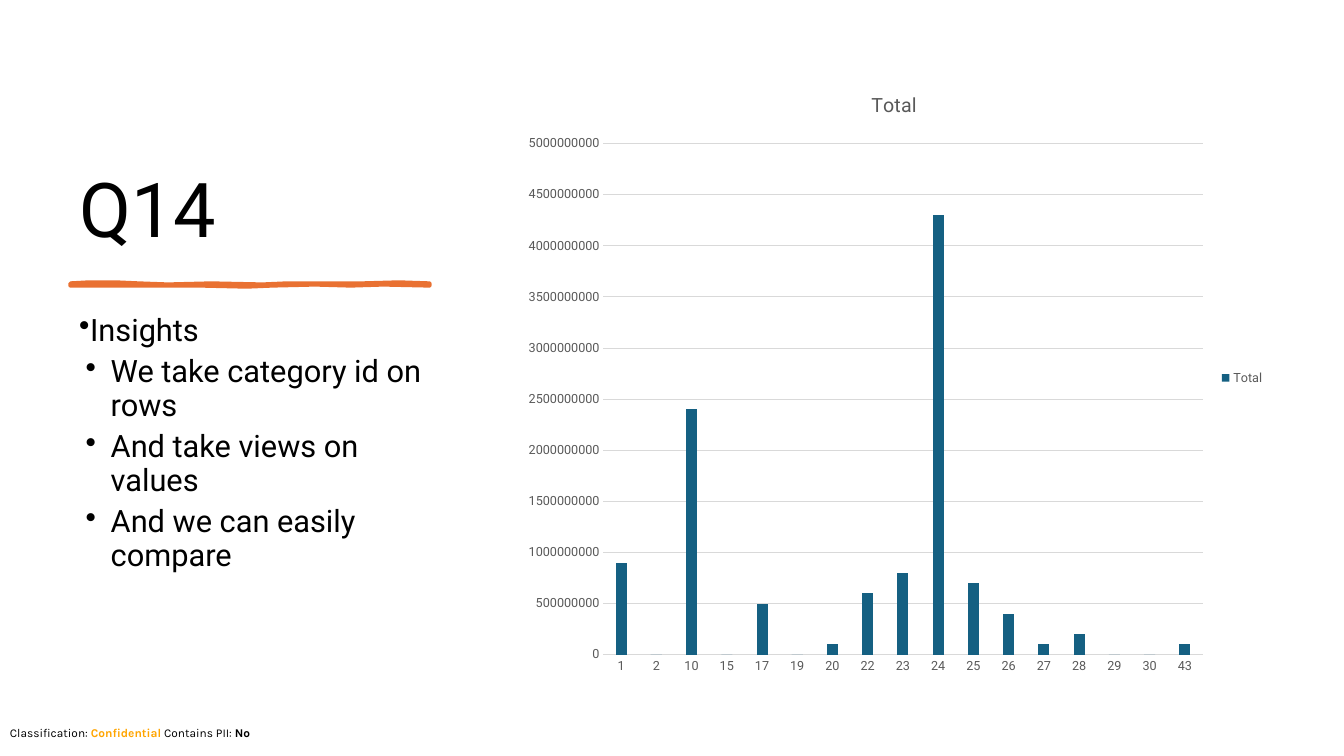
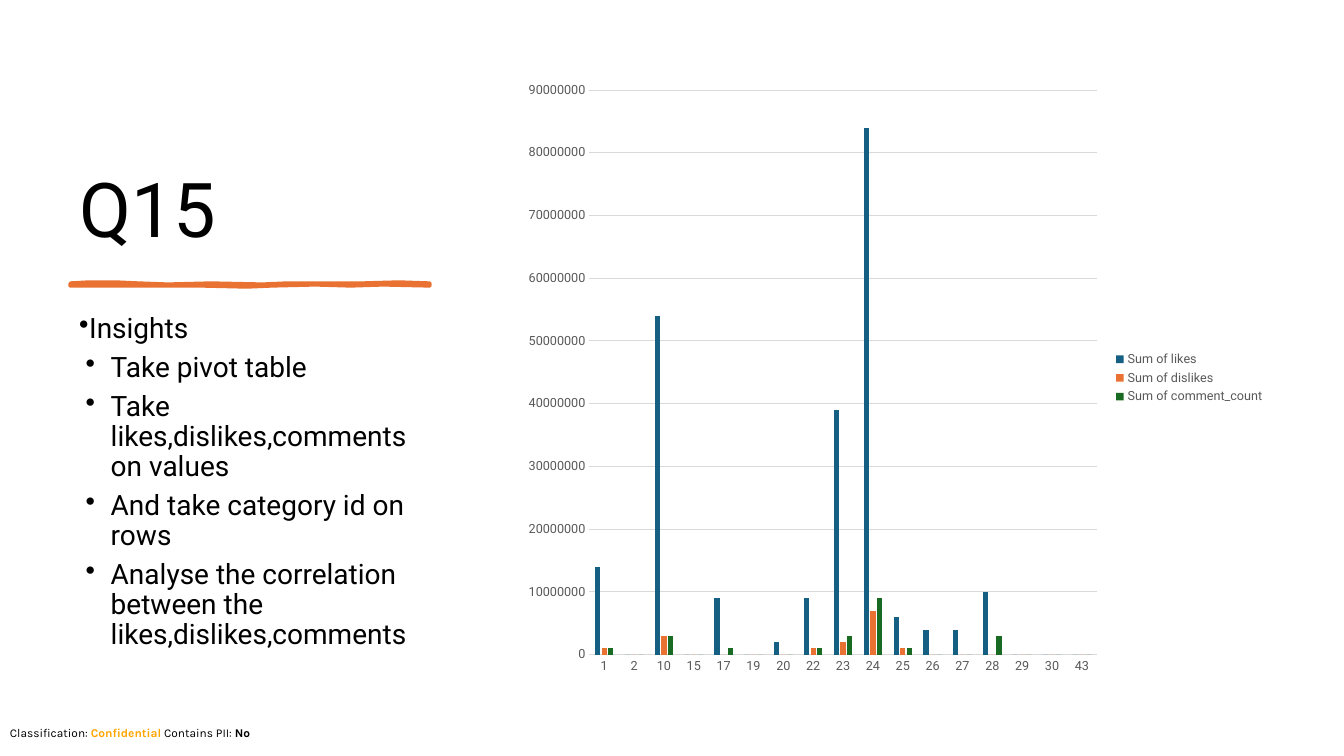
from dataclasses import dataclass

from lxml import etree
from pptx import Presentation
from pptx.chart.data import CategoryChartData
from pptx.dml.color import RGBColor
from pptx.enum.chart import XL_CHART_TYPE, XL_LEGEND_POSITION, XL_TICK_MARK
from pptx.enum.text import MSO_ANCHOR, MSO_AUTO_SIZE, PP_ALIGN
from pptx.oxml.ns import qn
from pptx.util import Pt

PX = 9525  # EMU in one px, 96 px to the inch


@dataclass(frozen=True)
class Theme:
    text: RGBColor = RGBColor.from_string("000000")
    chart_text: RGBColor = RGBColor.from_string("595959")
    grid: RGBColor = RGBColor.from_string("D9D9D9")
    warning: RGBColor = RGBColor.from_string("FFA500")
    blue: RGBColor = RGBColor.from_string("156082")
    orange: RGBColor = RGBColor.from_string("E97132")
    green: RGBColor = RGBColor.from_string("196B24")
    font: str = "Roboto"
    footer_font: str = "Karla"
    title_size: float = 54
    chart_title_size: float = 14
    chart_size: float = 10
    label_size: float = 9
    footer_size: float = 8.5


THEME = Theme()
SERIES_COLORS = [THEME.blue, THEME.orange, THEME.green]

TITLE_BOX = [n * PX for n in (66, 67, 360, 180)]
INSIGHTS_BOX = [n * PX for n in (66, 295, 360, 358)]
CHART_BOX = [n * PX for n in (489, 67, 725, 586)]
FOOTER_BOX = [n * PX for n in (0, 686, 1280, 23)]

# Wavy outline of the brush stroke under each title
STROKE = [
    (67, 270), (85, 269), (110, 269), (132, 270), (160, 271), (201, 270),
    (250, 271), (273, 270), (310, 270), (345, 270), (380, 269), (409, 270),
    (409, 272), (365, 271), (334, 272), (300, 271), (259, 272), (235, 273),
    (191, 272), (130, 272), (67, 272),
]

CATEGORY_IDS = ["1", "2", "10", "15", "17", "19", "20", "22", "23", "24",
                "25", "26", "27", "28", "29", "30", "43"]
MILLION = 1_000_000

QUESTIONS = [
    {
        "title": "Q14",
        "insight_size": 22,
        "insights": [
            "We take category id on rows",
            "And take views on values",
            "And we can easily compare",
        ],
        "chart_title": "Total",
        "axis_max": 5000,
        "axis_step": 500,
        "millions": {
            "Total": [900, 0, 2400, 0, 500, 0, 100, 600, 800, 4300,
                      700, 400, 100, 200, 0, 0, 100],
        },
    },
    {
        "title": "Q15",
        "insight_size": 20,
        "insights": [
            "Take pivot table",
            "Take likes,dislikes,comments on values",
            "And take category id on rows",
            "Analyse the correlation between the likes,dislikes,comments",
        ],
        "chart_title": None,
        "axis_max": 90,
        "axis_step": 10,
        "millions": {
            "Sum of likes": [14, 0, 54, 0, 9, 0, 2, 9, 39, 84,
                             6, 4, 4, 10, 0, 0, 0],
            "Sum of dislikes": [1, 0, 3, 0, 0, 0, 0, 1, 2, 7,
                                1, 0, 0, 0, 0, 0, 0],
            "Sum of comment_count": [1, 0, 3, 0, 1, 0, 0, 1, 3, 9,
                                     1, 0, 0, 3, 0, 0, 0],
        },
    },
]


def style_font(font, size, color=THEME.text, name=THEME.font, bold=False):
    font.size = Pt(size)
    font.color.rgb = color
    font.name = name
    font.bold = bold


def add_bullet(paragraph, margin):
    properties = paragraph._p.get_or_add_pPr()
    properties.set("marL", str(margin * PX))
    properties.set("indent", str(-24 * PX))
    etree.SubElement(properties, qn("a:buChar")).set("char", "•")


prs = Presentation()
prs.slide_width = 1280 * PX
prs.slide_height = 720 * PX
title_only = prs.slide_layouts[5]
for placeholder in list(title_only.placeholders)[1:]:
    title_only.shapes.element.remove(placeholder.element)

slides = [prs.slides.add_slide(title_only) for question in QUESTIONS]

# The classification line belongs to the layout, so every slide shows it
classification = slides[0].shapes.add_textbox(*FOOTER_BOX)
classification.text_frame.word_wrap = True
for words, color, bold in [
    ("Classification: ", THEME.text, False),
    ("Confidential", THEME.warning, True),
    (" Contains PII: ", THEME.text, False),
    ("No", THEME.text, True),
]:
    run = classification.text_frame.paragraphs[0].add_run()
    run.text = words
    style_font(run.font, THEME.footer_size, color, THEME.footer_font, bold)
title_only.shapes.element.append(classification.element)

for slide, question in zip(slides, QUESTIONS):
    # Title
    title = slide.shapes.title
    title.left, title.top, title.width, title.height = TITLE_BOX
    heading = title.text_frame
    heading.auto_size = MSO_AUTO_SIZE.NONE
    heading.word_wrap = True
    heading.vertical_anchor = MSO_ANCHOR.BOTTOM
    heading.paragraphs[0].alignment = PP_ALIGN.LEFT
    heading.paragraphs[0].line_spacing = 0.9
    run = heading.paragraphs[0].add_run()
    run.text = question["title"]
    style_font(run.font, THEME.title_size)

    # Brush stroke
    outline = slide.shapes.build_freeform(*STROKE[0], scale=PX)
    outline.add_line_segments(STROKE[1:], close=True)
    stroke = outline.convert_to_shape()
    stroke.shadow.inherit = False
    stroke.fill.solid()
    stroke.fill.fore_color.rgb = THEME.orange
    stroke.line.color.rgb = THEME.orange
    stroke.line.width = Pt(3)

    # Insights
    insights = slide.shapes.add_textbox(*INSIGHTS_BOX).text_frame
    insights.word_wrap = True
    for i, words in enumerate(["Insights", *question["insights"]]):
        paragraph = insights.add_paragraph() if i else insights.paragraphs[0]
        add_bullet(paragraph, 30 if i else 0)
        paragraph.line_spacing = 0.9
        paragraph.space_after = Pt(6)
        run = paragraph.add_run()
        run.text = words
        style_font(run.font, question["insight_size"])

    # Chart
    totals = CategoryChartData()
    totals.categories = CATEGORY_IDS
    for name, millions in question["millions"].items():
        totals.add_series(name, [value * MILLION for value in millions])
    chart = slide.shapes.add_chart(
        XL_CHART_TYPE.COLUMN_CLUSTERED, *CHART_BOX, totals).chart
    style_font(chart.font, THEME.chart_size)

    chart.has_title = question["chart_title"] is not None
    if chart.has_title:
        run = chart.chart_title.text_frame.paragraphs[0].add_run()
        run.text = question["chart_title"]
        style_font(run.font, THEME.chart_title_size, THEME.chart_text)
        chart.chart_title.include_in_layout = False

    chart.has_legend = True
    chart.legend.position = XL_LEGEND_POSITION.RIGHT
    chart.legend.include_in_layout = False
    style_font(chart.legend.font, THEME.label_size, THEME.chart_text)

    for axis in (chart.category_axis, chart.value_axis):
        axis.major_tick_mark = XL_TICK_MARK.NONE
        axis.minor_tick_mark = XL_TICK_MARK.NONE
        style_font(axis.tick_labels.font, THEME.label_size, THEME.chart_text)
    chart.value_axis.minimum_scale = 0
    chart.value_axis.maximum_scale = question["axis_max"] * MILLION
    chart.value_axis.major_unit = question["axis_step"] * MILLION
    chart.value_axis.format.line.fill.background()
    for line in (chart.category_axis.format.line,
                 chart.value_axis.major_gridlines.format.line):
        line.color.rgb = THEME.grid
        line.width = Pt(0.75)

    columns = chart.plots[0]
    columns.gap_width = 219
    columns.overlap = -27
    columns.vary_by_categories = False
    for series, color in zip(columns.series, SERIES_COLORS):
        series.format.fill.solid()
        series.format.fill.fore_color.rgb = color

prs.save("out.pptx")
